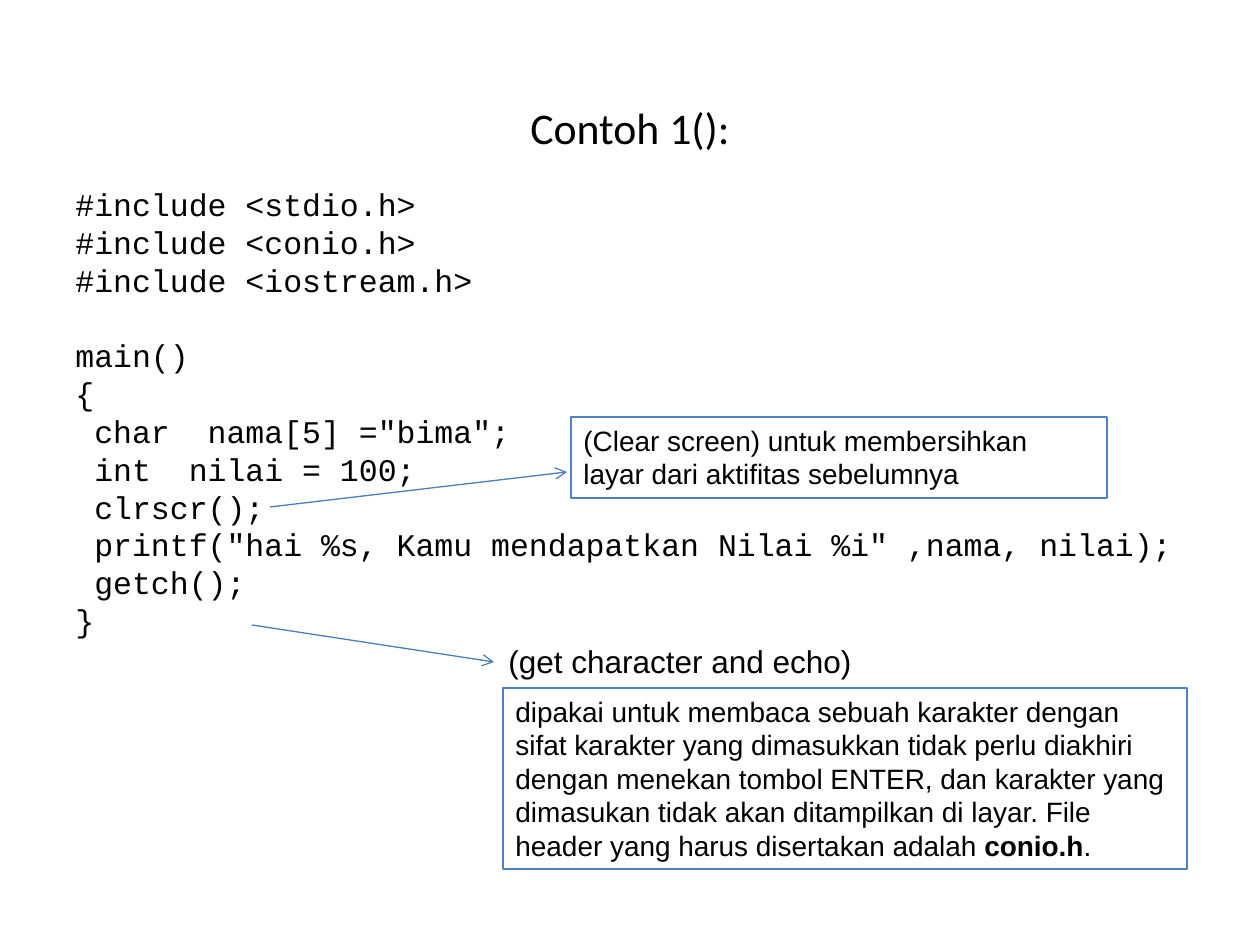
from dataclasses import dataclass

from lxml.etree import SubElement as add_sub
from pptx import Presentation
from pptx.dml.color import RGBColor as Color
from pptx.enum.shapes import MSO_CONNECTOR as Link, MSO_SHAPE as Shape
from pptx.enum.text import MSO_ANCHOR as Anchor, MSO_AUTO_SIZE as Fit, PP_ALIGN as Align
from pptx.oxml.ns import qn
from pptx.util import Emu, Pt

SCALE = 914400 / 126


@dataclass(frozen=True)
class Theme:
    ink: Color = Color(0x00, 0x00, 0x00)
    edge: Color = Color(0x4F, 0x81, 0xBD)
    arrow: Color = Color(0x4A, 0x7E, 0xBB)
    stroke: float = 0.75
    head: str = "Calibri"
    code: str = "Courier New"
    body: str = "Arial"
    big: int = 25
    mid: int = 18
    small: int = 16
    lead: float = 1.2


THEME = Theme()

CODE = [
    [
        "#include <stdio.h>",
        "#include <conio.h>",
        "#include <iostream.h>",
    ],
    [
        "main()",
        "{",
        ' char  nama[5] ="bima";',
        " int  nilai = 100;",
        " clrscr();",
        ' printf("hai %s, Kamu mendapatkan Nilai %i" ,nama, nilai);',
        " getch();",
        "}",
    ],
]
CLEAR = "(Clear screen) untuk membersihkan layar dari aktifitas sebelumnya"
ECHO = (
    "dipakai untuk membaca sebuah karakter dengan sifat karakter yang "
    "dimasukkan tidak perlu diakhiri dengan menekan tombol ENTER, dan "
    "karakter yang dimasukan tidak akan ditampilkan di layar. File header "
    "yang harus disertakan adalah "
)


def px(*nums):
    return [Emu(round(n * SCALE)) for n in nums]


def style(para, face, size, align=Align.LEFT):
    para.alignment = align
    para.line_spacing = Pt(size * THEME.lead)
    font = para.font
    font.name, font.size = face, Pt(size)
    font.color.rgb = THEME.ink


def add_text(slide, area, text, face, size, wrap=True):
    box = slide.shapes.add_textbox(*px(*area))
    frame = box.text_frame
    frame.word_wrap = wrap
    frame.text = text
    for para in frame.paragraphs:
        style(para, face, size)
    return frame


def add_title(slide, area, text):
    frame = add_text(slide, area, text, THEME.head, THEME.big)
    frame.vertical_anchor = Anchor.MIDDLE
    frame.paragraphs[0].alignment = Align.CENTER


def add_code(slide, area, parts):
    """Set code parts in one box, one empty line's height apart."""
    lines = "\n".join(line for part in parts for line in part)
    frame = add_text(slide, area, lines, THEME.code, THEME.mid)
    row = 0
    for part in parts[:-1]:
        row += len(part)
        frame.paragraphs[row].space_before = Pt(THEME.mid * THEME.lead)


def add_note(slide, area, *runs):
    """Add an outlined note; each run is a pair of text and bold."""
    box = slide.shapes.add_shape(Shape.RECTANGLE, *px(*area))
    box.shadow.inherit = False
    box.fill.background()
    box.line.color.rgb = THEME.edge
    box.line.width = Pt(THEME.stroke)
    frame = box.text_frame
    frame.word_wrap = True
    frame.auto_size = Fit.SHAPE_TO_FIT_TEXT
    frame.vertical_anchor = Anchor.TOP
    para = frame.paragraphs[0]
    style(para, THEME.body, THEME.small)
    for text, bold in runs:
        run = para.add_run()
        run.text = text
        if bold:
            run.font.bold = True


def add_arrow(slide, start, end):
    link = slide.shapes.add_connector(Link.STRAIGHT, *px(*start, *end))
    link.line.color.rgb = THEME.arrow
    link.line.width = Pt(THEME.stroke)
    add_sub(link.line._get_or_add_ln(), qn("a:tailEnd"), type="arrow")
    add_sub(link._element.spPr, qn("a:effectLst"))


def main():
    deck = Presentation()
    deck.slide_width, deck.slide_height = px(1260, 945)
    slide = deck.slides.add_slide(deck.slide_layouts[6])
    add_title(slide, (63, 97, 1134, 60), "Contoh 1():")
    add_code(slide, (63, 179, 1124, 466), CODE)
    add_arrow(slide, (252, 625), (494, 662))
    add_text(slide, (496, 636, 368, 50), "(get character and echo)",
             THEME.body, THEME.mid, wrap=False)
    add_note(slide, (503, 688, 684, 181),
             (ECHO, False), ("conio.h", True), (".", False))
    add_arrow(slide, (270, 507), (567, 472))
    add_note(slide, (571, 417, 536, 81), (CLEAR, False))
    deck.save("out.pptx")


if __name__ == "__main__":
    main()
